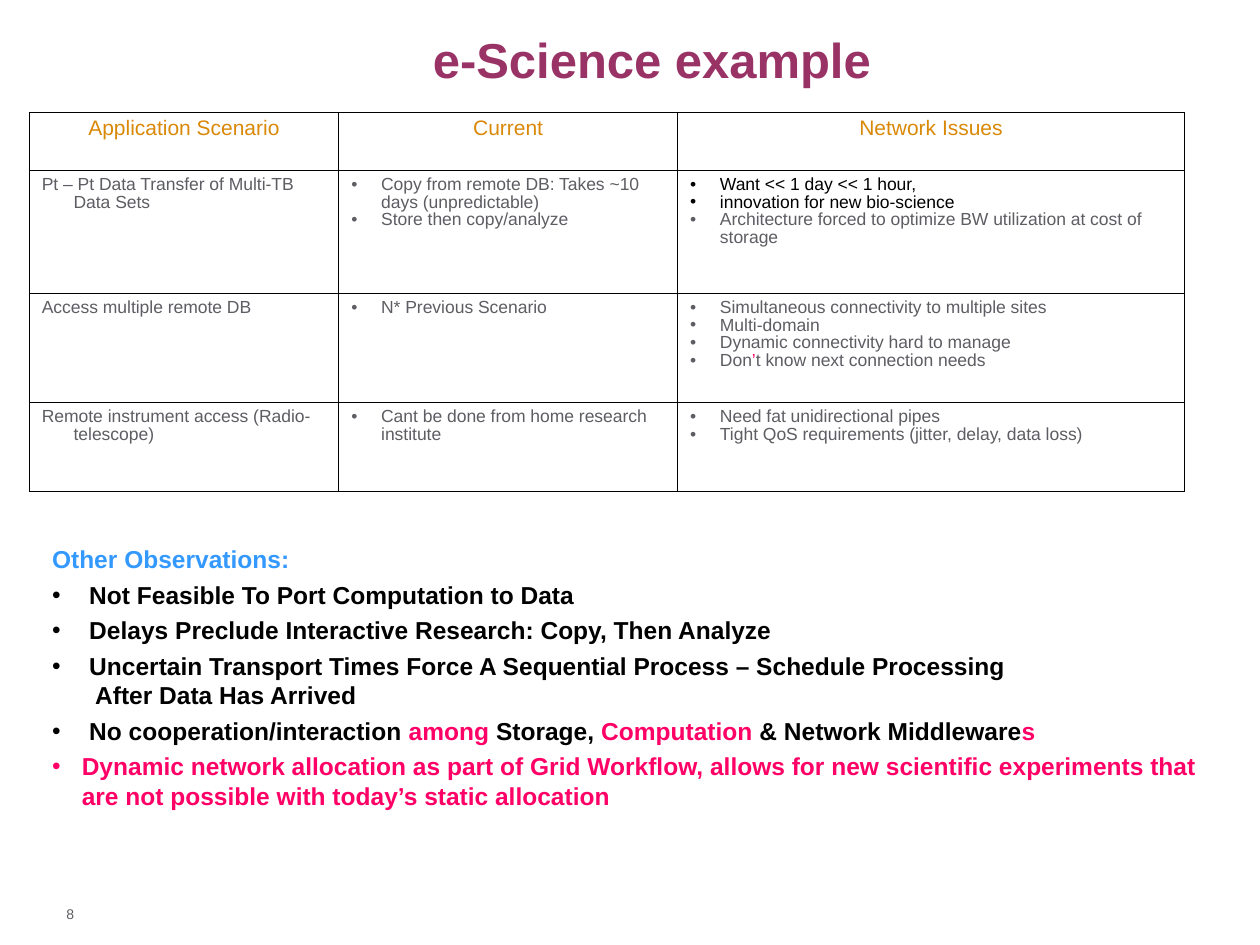
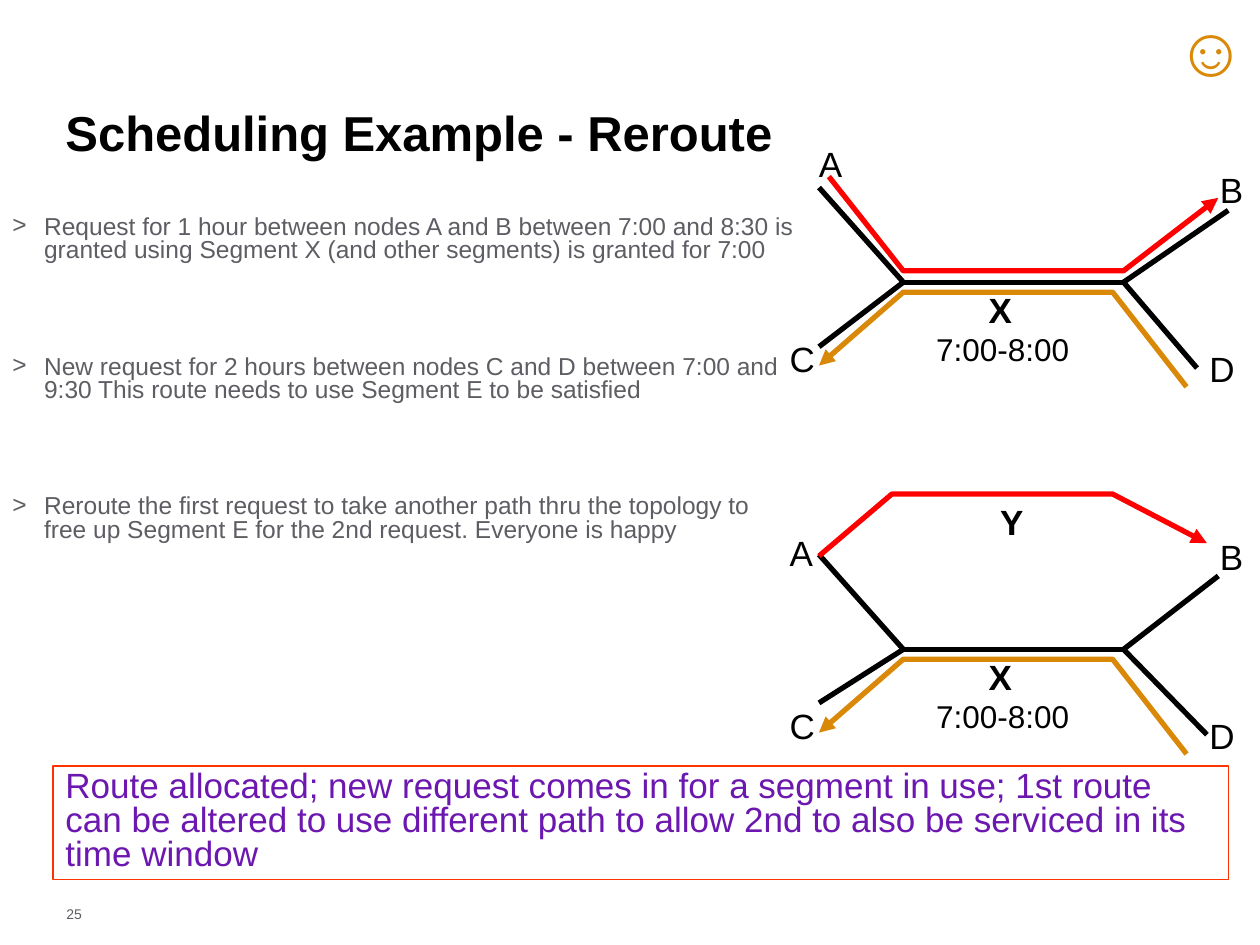
import dataclasses
import lxml.etree
import pptx
import pptx.dml.color
import pptx.enum.shapes
import pptx.enum.text
import pptx.oxml.ns
import pptx.util

Cm = pptx.util.Cm
Pt = pptx.util.Pt
qn = pptx.oxml.ns.qn
MID = pptx.enum.text.PP_ALIGN.CENTER
LOW = pptx.enum.text.MSO_ANCHOR.BOTTOM


@dataclasses.dataclass(frozen=True)
class Theme:
    """Colours, font and type sizes of the deck."""
    font: str = "Arial"
    black: str = "000000"
    grey: str = "5D5D63"
    gold: str = "D98907"
    plum: str = "993366"
    pink: str = "FF0066"
    blue: str = "3399FF"
    red: str = "FF0000"
    edge: str = "FF3300"
    violet: str = "6C18B0"
    title: int = 28
    label: int = 20
    time: int = 18
    body: int = 14
    head: int = 12
    cell: int = 10
    page: int = 8
    smile: int = 40
    wire: int = 3


T = Theme()


@dataclasses.dataclass
class Para:
    """A paragraph: its runs as (text, colour) pairs and its layout."""
    runs: list
    size: int
    bold: bool = False
    mark: str = ""
    left: float = 0
    hang: float = 0
    gap: float = 0
    line: float = 1
    align: object = None


def rgb(tint):
    """Turn a hex string into a colour."""
    return pptx.dml.color.RGBColor.from_string(tint)


def add(parent, tag, **attrs):
    """Append a drawing element."""
    return lxml.etree.SubElement(parent, qn(tag), attrs)


def write(frame, paras):
    """Fill a text frame with paragraphs, run by run."""
    for i, item in enumerate(paras):
        para = frame.paragraphs[0] if i == 0 else frame.add_paragraph()
        props = para._p.get_or_add_pPr()
        props.set("marL", str(Cm(item.left)))
        props.set("indent", str(-Cm(item.hang)))
        if item.mark:
            tint = add(props, "a:buClr")
            add(tint, "a:srgbClr", val=item.runs[0][1])
            add(props, "a:buFont", typeface=T.font)
            add(props, "a:buChar", char=item.mark)
        para.alignment = item.align
        para.line_spacing = item.line
        para.space_before = Pt(item.gap if i else 0)
        for text, tint in item.runs:
            if text == "\n":
                para.add_line_break()
                add(para._p[-1], "a:rPr", sz=str(item.size * 100))
                continue
            run = para.add_run()
            run.text = text
            run.font.name = T.font
            run.font.size = Pt(item.size)
            run.font.bold = item.bold
            run.font.color.rgb = rgb(tint)


def note(slide, box, paras, wrap=True, anchor=None):
    """Place a text box."""
    frame = slide.shapes.add_textbox(*map(Cm, box)).text_frame
    frame.word_wrap = wrap
    if anchor is not None:
        frame.vertical_anchor = anchor
    write(frame, paras)


def page(slide, number):
    """Place the slide number."""
    note(slide, (1.09, 18.12, 5.92, 0.69), [Para([(number, T.grey)], T.page)])


def title(slide, box, text, tint, **look):
    """Place the slide title at the foot of its box."""
    note(slide, box, [Para([(text, tint)], T.title, True, **look)], anchor=LOW)


def frame_cell(cell):
    """Draw thin black borders and clear the fill."""
    props = cell._tc.get_or_add_tcPr()
    for side in ("a:lnL", "a:lnR", "a:lnT", "a:lnB"):
        line = add(props, side, w=str(Pt(0.45)))
        add(add(line, "a:solidFill"), "a:srgbClr", val=T.black)
    cell.fill.background()


def cell_paras(row, col, text):
    """Style the lines of a cell by its place in the grid."""
    if row == 0:
        return [Para([(text, T.gold)], T.head, line=0.9, align=MID)]
    if col == 0:
        return [Para([(text, T.grey)], T.cell, left=0.64, hang=0.64, line=0.9)]
    return [Para(runs if isinstance(runs, list) else [(runs, T.grey)], T.cell,
                 mark="•", left=0.6, hang=0.6, line=0.9) for runs in text]


def grid(slide, box, rows, widths, heights):
    """Place the scenario table."""
    shape = slide.shapes.add_table(len(rows), len(widths), *map(Cm, box))
    table = shape.table
    table.first_row = table.horz_banding = False
    for col, width in zip(table.columns, widths):
        col.width = Cm(width)
    for row, height in zip(table.rows, heights):
        row.height = Cm(height)
    for r, row in enumerate(rows):
        for c, text in enumerate(row):
            cell = table.cell(r, c)
            frame_cell(cell)
            write(cell.text_frame, cell_paras(r, c, text))


def science(deck):
    """Build the e-Science slide."""
    slide = deck.slides.add_slide(deck.slide_layouts[6])
    page(slide, "8")
    title(slide, (1.33, 0.46, 23.62, 1.45), "e-Science example", T.plum, align=MID)
    rows = [
        ["Application Scenario", "Current", "Network Issues"],
        ["Pt – Pt Data Transfer of Multi-TB Data Sets",
         ["Copy from remote DB: Takes ~10 days (unpredictable)",
          "Store then copy/analyze"],
         [[("Want << 1 day << 1 hour,", T.black)],
          [("innovation for new bio-science", T.black)],
          "Architecture forced to optimize BW utilization at cost of storage"]],
        ["Access multiple remote DB", ["N* Previous Scenario"],
         ["Simultaneous connectivity to multiple sites", "Multi-domain",
          "Dynamic connectivity hard to manage",
          [("Don", T.grey), ("’", T.pink), ("t know next connection needs", T.grey)]]],
        ["Remote instrument access (Radio-telescope)",
         ["Cant be done from home research institute"],
         ["Need fat unidirectional pipes",
          "Tight QoS requirements (jitter, delay, data loss)"]],
    ]
    grid(slide, (0.59, 2.26, 23.29, 7.65), rows, (6.24, 6.83, 10.22),
         (1.17, 2.48, 2.2, 1.8))
    points = [
        [("Not Feasible To Port Computation to Data", T.black)],
        [("Delays Preclude Interactive Research: Copy, Then Analyze", T.black)],
        [("Uncertain Transport Times Force A Sequential Process – "
          "Schedule Processing", T.black), ("\n", T.black),
         (" After Data Has Arrived", T.black)],
        [("No cooperation/interaction ", T.black), ("among", T.pink),
         (" Storage, ", T.black), ("Computation", T.pink),
         (" & Network Middleware", T.black), ("s", T.pink)],
    ]
    look = dict(size=T.body, bold=True, gap=3.5)
    last = ("Dynamic network allocation as part of Grid Workflow, allows for new "
            "scientific experiments that are not possible with today’s static allocation")
    note(slide, (0.8, 10.85, 23.65, 6.32), [
        Para([("Other Observations:", T.blue)], **look),
        *(Para(runs, mark="•", left=0.75, hang=0.75, **look) for runs in points),
        Para([(last, T.pink)], mark="•", left=0.6, hang=0.6, **look)])


def wire(slide, start, end):
    """Draw one black link."""
    kind = pptx.enum.shapes.MSO_CONNECTOR.STRAIGHT
    link = slide.shapes.add_connector(kind, *map(Cm, start + end))
    link.line.color.rgb = rgb(T.black)
    link.line.width = Pt(T.wire)
    add(link._element.spPr, "a:effectLst")


def route(slide, points, tint):
    """Draw a bent route that ends in an arrow."""
    spots = [(Cm(x), Cm(y)) for x, y in points]
    pen = slide.shapes.build_freeform(*spots[0])
    pen.add_line_segments(spots[1:], close=False)
    shape = pen.convert_to_shape()
    shape.shadow.inherit = False
    shape.fill.background()
    shape.line.color.rgb = rgb(tint)
    shape.line.width = Pt(T.wire)
    add(shape.line._get_or_add_ln(), "a:tailEnd", type="triangle")


def net(slide, box, ends, red, tags):
    """Draw a network of four nodes around segment X."""
    left, top = box

    def at(spot):
        """Shift a spot into the box."""
        return left + spot[0], top + spot[1]

    west, east = (2.54, 3.15), (6.98, 3.15)
    wire(slide, at(west), at(east))
    for hub, end in zip((west, east, east, west), ends):
        wire(slide, at(hub), at(end))
    route(slide, [at(p) for p in red], T.red)
    gold = [(8.25, 5.26), (6.76, 3.35), (2.54, 3.35), (0.84, 4.83)]
    route(slide, [at(p) for p in gold], T.gold)
    spots = {"C": (0, 4.14), "D": (8.46, 4.34), "B": (8.67, 0.74),
             "X": (4.01, 3.15), **tags}
    for name, spot in spots.items():
        text = Para([(name, T.black)], T.label, name in "XY")
        note(slide, (*at(spot), 1, 1.12), [text], False)
    note(slide, (*at((2.95, 3.99)), 3.8, 1.02),
         [Para([("7:00-8:00", T.black)], T.time)], False)


def banner(slide, box, text):
    """Place the framed summary."""
    kind = pptx.enum.shapes.MSO_SHAPE.RECTANGLE
    shape = slide.shapes.add_shape(kind, *map(Cm, box))
    shape.shadow.inherit = False
    shape.fill.background()
    shape.line.color.rgb = rgb(T.edge)
    shape.line.width = Pt(0.75)
    shape.text_frame.word_wrap = True
    shape.text_frame.vertical_anchor = pptx.enum.text.MSO_ANCHOR.TOP
    left = pptx.enum.text.PP_ALIGN.LEFT
    write(shape.text_frame, [Para([(text, T.violet)], T.label, line=0.8, align=left)])


def reroute(deck):
    """Build the rerouting slide."""
    slide = deck.slides.add_slide(deck.slide_layouts[6])
    page(slide, "25")
    title(slide, (1.07, 0.84, 19.02, 2.54), "Scheduling Example - Reroute", T.black)
    steps = [
        "Request for 1 hour between nodes A and B between 7:00 and 8:30 is granted "
        "using Segment X (and other segments) is granted for 7:00",
        "New request for 2 hours between nodes C and D between 7:00 and 9:30 "
        "This route needs to use Segment E to be satisfied",
        "Reroute the first request to take another path thru the topology to free "
        "up Segment E for the 2nd request. Everyone is happy",
    ]
    note(slide, (0, 4.24, 16.31, 9.96), [
        Para([(step, T.grey)], T.body, mark=">", left=0.64, hang=0.64,
             gap=53, line=0.8) for step in steps])
    net(slide, (15.67, 2.54),
        [(0.84, 1.24), (9.09, 1.7), (8.46, 4.88), (0.84, 4.45)],
        [(1.04, 1.02), (2.54, 2.92), (6.98, 2.92), (8.89, 1.45)],
        {"A": (0.59, 0.2)})
    net(slide, (15.67, 9.94),
        [(0.84, 1.24), (8.89, 1.67), (8.66, 4.87), (0.84, 4.23)],
        [(0.84, 1.27), (2.31, 0.02), (6.76, 0.02), (8.66, 1.01)],
        {"A": (0, 0.64), "Y": (4.24, 0.02)})
    banner(slide, (1.07, 15.44, 23.7, 2.29),
           "Route allocated; new request comes in for a segment in use; 1st route "
           "can be altered to use different path to allow 2nd to also be serviced "
           "in its time window")
    note(slide, (23.44, 0, 1.93, 1.96),
         [Para([("☺", T.gold)], T.smile, True)], False)


def main():
    """Build and save the deck."""
    deck = pptx.Presentation()
    deck.slide_width, deck.slide_height = Cm(25.4), Cm(19.05)
    science(deck)
    reroute(deck)
    deck.save("out.pptx")


if __name__ == "__main__":
    main()
